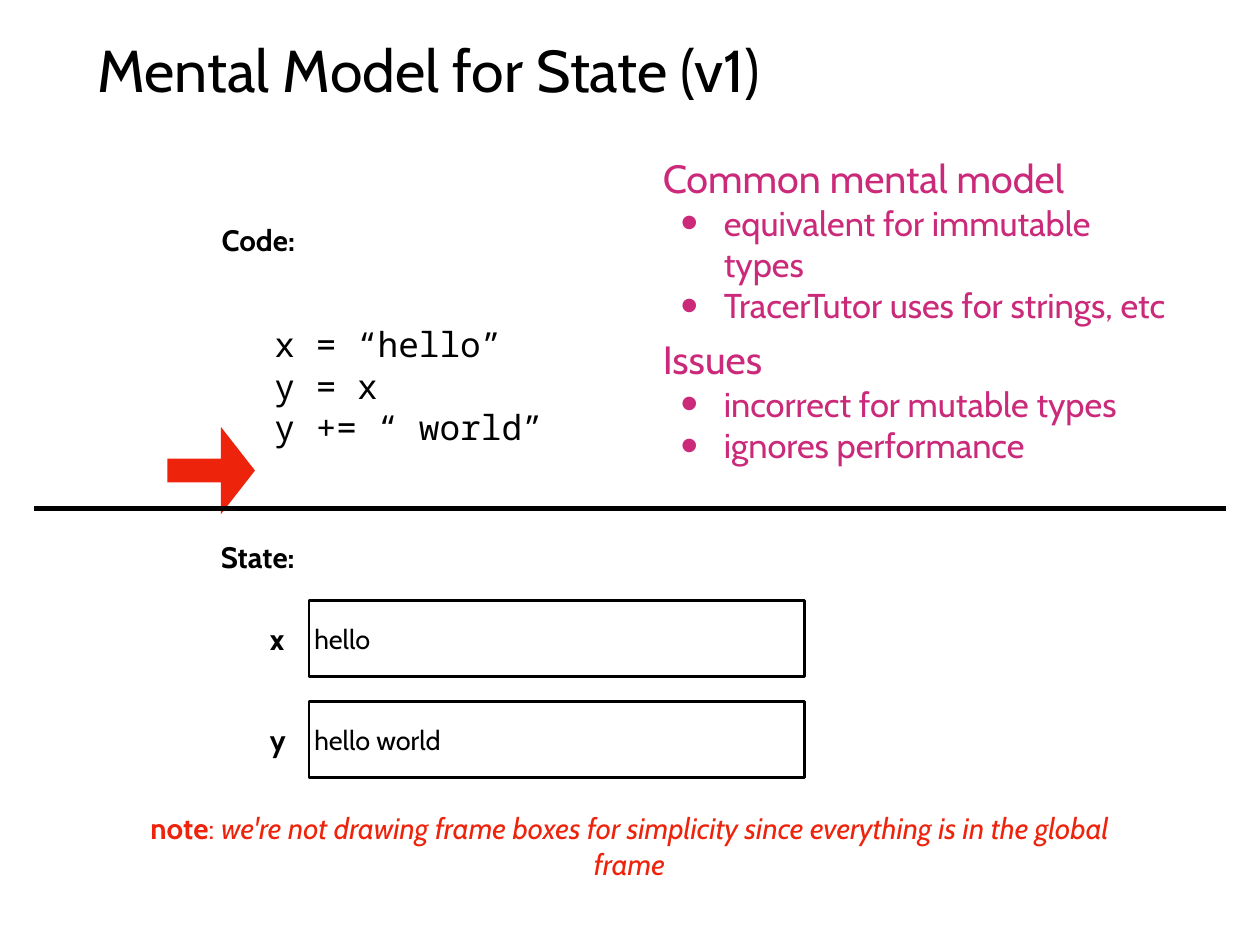
from lxml.etree import SubElement
from pptx import Presentation
from pptx.dml.color import RGBColor
from pptx.enum.shapes import MSO_CONNECTOR, MSO_SHAPE
from pptx.enum.text import MSO_ANCHOR, MSO_AUTO_SIZE, PP_ALIGN
from pptx.oxml.ns import qn
from pptx.util import Cm, Pt

BLACK = RGBColor(0x00, 0x00, 0x00)
RED = RGBColor(0xEE, 0x23, 0x0C)
PINK = RGBColor(0xCB, 0x2A, 0x7A)
SANS, MONO = "Cabin", "Noto Sans Mono"

TITLE = "Mental Model for State (v1)"
# Section headings: text, (left, top, width, height) in cm
HEADINGS = [
    ("Code:", (6.02, 6.25, 2.77, 1.27)),
    ("State:", (5.97, 15.32, 2.84, 1.27)),
]
CODE = ["x = “hello”", "y = x", "y += “ world”"]
VARIABLES = [("x", "hello"), ("y", "hello world")]
REMARKS = [
    ("Common mental model",
     ["equivalent for immutable types", "TracerTutor uses for strings, etc"],
     (18.85, 4.98, 15.06, 3.81)),
    ("Issues",
     ["incorrect for mutable types", "ignores performance"],
     (18.85, 9.58, 13.31, 3.81)),
]
NOTE = [
    ("note", {"bold": True}),
    (": ", {}),
    ("we're not drawing frame boxes for simplicity since everything is in the global frame",
     {"italic": True}),
]

VALUE_LEFT, VALUE_TOP, VALUE_WIDTH, VALUE_HEIGHT = 8.86, 17.22, 14.2, 2.18
ROW_PITCH = 2.9
NAME_LEFT, NAME_WIDTH, NAME_HEIGHT = 7.59, 0.83, 1.27


def cm(lengths):
    return [Cm(length) for length in lengths]


def set_frame(frame, **formats):
    defaults = {"vertical_anchor": MSO_ANCHOR.MIDDLE, "word_wrap": True}
    insets = {f"margin_{side}": Cm(0.15) for side in ("left", "top", "right", "bottom")}
    for name, value in (defaults | insets | formats).items():
        setattr(frame, name, value)


def add_run(paragraph, text, size, color=BLACK, **formats):
    run = paragraph.add_run()
    run.text = text
    for name, value in ({"name": SANS, "size": Pt(size)} | formats).items():
        setattr(run.font, name, value)
    run.font.color.rgb = color


def add_label(slide, box, **formats):
    """Add a text box that grows with its unwrapped text; return its frame."""
    frame = slide.shapes.add_textbox(*cm(box)).text_frame
    set_frame(frame, **({"word_wrap": False,
                         "auto_size": MSO_AUTO_SIZE.SHAPE_TO_FIT_TEXT} | formats))
    return frame


def place(placeholder, box):
    placeholder.left, placeholder.top, placeholder.width, placeholder.height = cm(box)


def set_bullet(paragraph, char=None):
    properties = paragraph._p.get_or_add_pPr()
    properties.set("marL", str(Cm(1.75) if char else 0))
    properties.set("indent", str(Cm(-1.24) if char else 0))
    if char:
        SubElement(properties, qn("a:buSzPct"), val="145000")
        SubElement(properties, qn("a:buChar"), char=char)
    else:
        SubElement(properties, qn("a:buNone"))


def fill_remark(placeholder, heading, points, box):
    place(placeholder, box)
    frame = placeholder.text_frame
    set_frame(frame, auto_size=MSO_AUTO_SIZE.SHAPE_TO_FIT_TEXT)
    for index, text in enumerate([heading, *points]):
        paragraph = frame.add_paragraph() if index else frame.paragraphs[0]
        paragraph.space_before = Pt(0)
        set_bullet(paragraph, "•" if index else None)
        add_run(paragraph, text, 28 if index else 32, PINK)


def add_variable(slide, row, name, value):
    top = VALUE_TOP + row * ROW_PITCH
    name_top = top + (VALUE_HEIGHT - NAME_HEIGHT) / 2
    name_frame = add_label(slide, (NAME_LEFT, name_top, NAME_WIDTH, NAME_HEIGHT))
    add_run(name_frame.paragraphs[0], name, 24, bold=True)

    value_box = slide.shapes.add_shape(
        MSO_SHAPE.RECTANGLE, *cm((VALUE_LEFT, top, VALUE_WIDTH, VALUE_HEIGHT)))
    value_box.shadow.inherit = False
    value_box.fill.background()
    value_box.line.color.rgb = BLACK
    value_box.line.width = Pt(2)
    set_frame(value_box.text_frame)
    paragraph = value_box.text_frame.paragraphs[0]
    paragraph.alignment = PP_ALIGN.LEFT
    add_run(paragraph, value, 22)


def main():
    deck = Presentation()
    deck.slide_width, deck.slide_height = cm((36.12, 27.1))
    slide = deck.slides.add_slide(deck.slide_layouts.get_by_name("Two Content"))
    title, *remark_bodies = slide.placeholders

    place(title, (2.64, 0.71, 30.84, 2.51))
    set_frame(title.text_frame)
    title_line = title.text_frame.paragraphs[0]
    title_line.alignment = PP_ALIGN.LEFT
    add_run(title_line, TITLE, 48)

    for body, remark in zip(remark_bodies, REMARKS):
        fill_remark(body, *remark)

    for text, box in HEADINGS:
        heading = add_label(slide, box).paragraphs[0]
        heading.alignment = PP_ALIGN.CENTER
        add_run(heading, text, 24, bold=True)

    for row, variable in enumerate(VARIABLES):
        add_variable(slide, row, *variable)

    code = add_label(slide, (7.72, 9.12, 8.03, 3.89), vertical_anchor=MSO_ANCHOR.TOP)
    for index, statement in enumerate(CODE):
        paragraph = code.add_paragraph() if index else code.paragraphs[0]
        add_run(paragraph, statement, 28, name=MONO)

    step_arrow = slide.shapes.add_shape(MSO_SHAPE.RIGHT_ARROW, *cm((4.8, 12.24, 2.51, 2.51)))
    step_arrow.shadow.inherit = False
    step_arrow.adjustments[0], step_arrow.adjustments[1] = 0.27, 0.39
    step_arrow.fill.solid()
    step_arrow.fill.fore_color.rgb = RED
    step_arrow.line.fill.background()

    divider = slide.shapes.add_connector(
        MSO_CONNECTOR.STRAIGHT, *cm((0.97, 14.58, 35.15, 14.58)))
    divider.line.color.rgb = BLACK
    divider.line.width = Pt(4)
    SubElement(divider._element.spPr, qn("a:effectLst"))

    note = add_label(slide, (3.68, 23.62, 28.73, 1.27)).paragraphs[0]
    note.alignment = PP_ALIGN.CENTER
    for text, formats in NOTE:
        add_run(note, text, 24, RED, **formats)

    deck.save("out.pptx")


if __name__ == "__main__":
    main()
